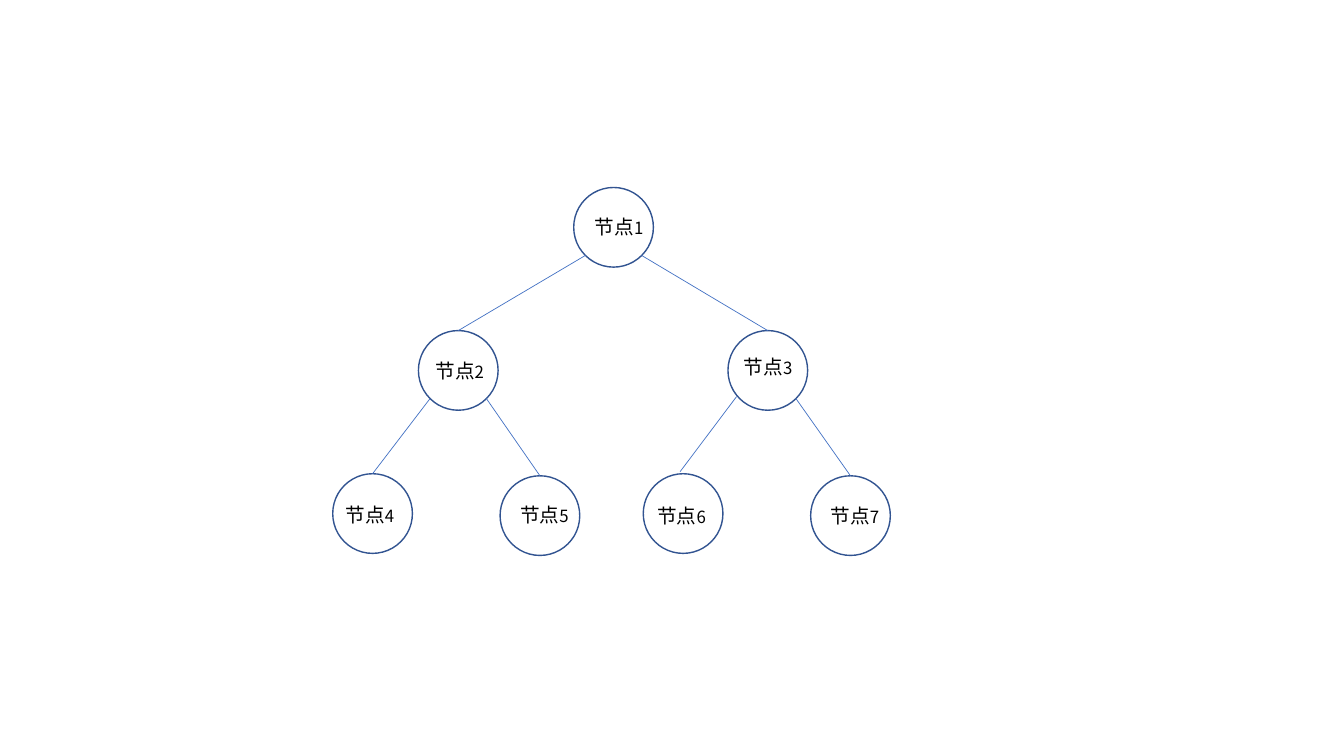
import math
from dataclasses import dataclass
from typing import Any, Optional

import lxml.etree
import pptx
import pptx.dml.color
import pptx.enum.shapes
import pptx.enum.text
import pptx.oxml.ns
import pptx.util

Inches = pptx.util.Inches
Pt = pptx.util.Pt
qn = pptx.oxml.ns.qn

FONT = "Noto Sans CJK SC"
DIAMETER = 0.79
RADIUS = DIAMETER / 2
DIAGONAL = RADIUS * math.sqrt(0.5)
LABEL_W, LABEL_H = 0.84, 0.34


@dataclass(frozen=True)
class Node:
    number: int
    left: float
    top: float
    label_left: float
    label_top: float
    parent: Optional[int] = None
    link_dx: float = 0
    link_dy: float = 0


NODES = [
    Node(1, 5.69, 1.86, 5.8, 2.08),
    Node(2, 4.15, 3.28, 4.22, 3.51, 1),
    Node(3, 7.22, 3.28, 7.28, 3.47, 1),
    Node(4, 3.3, 4.7, 3.33, 4.94, 2),
    Node(5, 4.96, 4.72, 5.06, 4.94, 2),
    Node(6, 6.38, 4.7, 6.42, 4.95, 3, -0.03, -0.02),
    Node(7, 8.04, 4.72, 8.14, 4.95, 3),
]


def rgb(color: str) -> pptx.dml.color.RGBColor:
    return pptx.dml.color.RGBColor.from_string(color)


def set_line(shape: Any, color: str, width: float) -> None:
    shape.line.color.rgb = rgb(color)
    shape.line.width = Pt(width)


def add_circle(s: Any, node: Node) -> None:
    circle = s.shapes.add_shape(
        pptx.enum.shapes.MSO_SHAPE.FLOWCHART_CONNECTOR,
        Inches(node.left), Inches(node.top), Inches(DIAMETER), Inches(DIAMETER))
    circle.shadow.inherit = False
    circle.fill.background()
    set_line(circle, "325491", 1)


def add_run(p: Any, text: str, size: float) -> None:
    r = p.add_run()
    r.text = text
    r.font.size = Pt(size)
    r.font.name = FONT
    r.font.color.rgb = rgb("000000")
    lxml.etree.SubElement(r.font._element, qn("a:ea"), typeface=FONT)


def add_label(s: Any, node: Node) -> None:
    box = s.shapes.add_textbox(
        Inches(node.label_left), Inches(node.label_top),
        Inches(LABEL_W), Inches(LABEL_H))
    tf = box.text_frame
    tf.word_wrap = True
    tf.auto_size = pptx.enum.text.MSO_AUTO_SIZE.SHAPE_TO_FIT_TEXT
    p = tf.paragraphs[0]
    add_run(p, "节点", 14)
    add_run(p, str(node.number), 12)


def add_link(s: Any, parent: Node, child: Node) -> None:
    side = math.copysign(DIAGONAL, child.left - parent.left)
    link = s.shapes.add_connector(
        pptx.enum.shapes.MSO_CONNECTOR.STRAIGHT,
        Inches(parent.left + RADIUS + side + child.link_dx),
        Inches(parent.top + RADIUS + DIAGONAL + child.link_dy),
        Inches(child.left + RADIUS + child.link_dx),
        Inches(child.top + child.link_dy))
    set_line(link, "4472C4", 0.5)
    lxml.etree.SubElement(link._element.spPr, qn("a:effectLst"))


prs = pptx.Presentation()
prs.slide_width = Inches(13.33)
prs.slide_height = Inches(7.5)
s = prs.slides.add_slide(prs.slide_layouts[6])

by_number = {node.number: node for node in NODES}
for node in NODES:
    add_circle(s, node)
    add_label(s, node)
    if node.parent is not None:
        add_link(s, by_number[node.parent], node)

prs.save("out.pptx")
